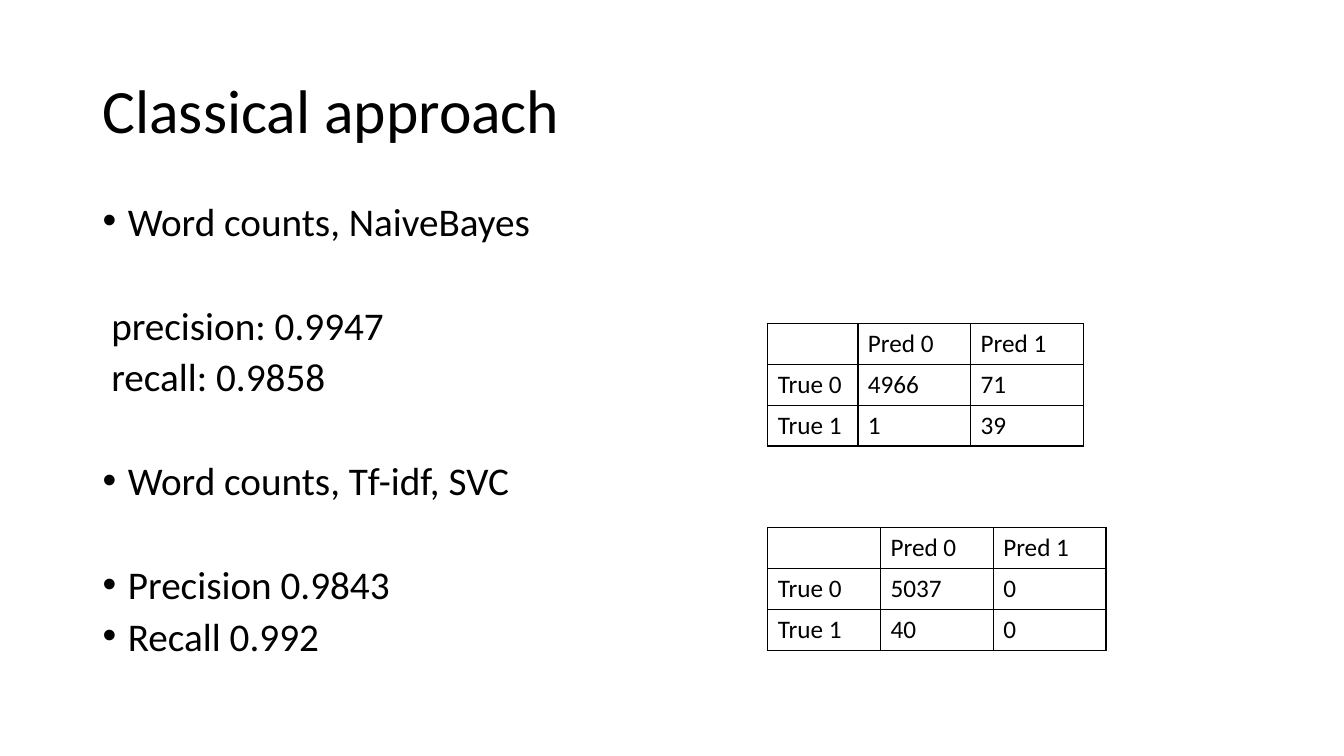
from lxml import etree
from pptx import Presentation
from pptx.dml.color import RGBColor
from pptx.enum.text import MSO_ANCHOR, MSO_AUTO_SIZE, PP_ALIGN
from pptx.oxml.ns import qn
from pptx.util import Cm, Pt

BLACK = RGBColor(0x00, 0x00, 0x00)
MARGIN_LEFT, CONTENT_WIDTH = 2.33, 29.21
TABLE_LEFT, COLUMN, ROW = 19.35, 2.84, 1.03
LINE_GAP, SECTION_GAP = 10, 47.3


class SlideBuilder:
    """Holds the style and the current slide."""

    font = "Calibri"
    color = BLACK

    def __init__(self, slide):
        """Keep the slide to draw on."""
        self.slide = slide

    def style(self, paragraph, size):
        """Set font, size and colour of a left-aligned paragraph."""
        paragraph.alignment = PP_ALIGN.LEFT
        paragraph.font.name = self.font
        paragraph.font.size = Pt(size)
        paragraph.font.color.rgb = self.color

    def frame(self, placeholder, top, height, anchor):
        """Move a placeholder and return its text frame."""
        placeholder.left, placeholder.top = Cm(MARGIN_LEFT), Cm(top)
        placeholder.width, placeholder.height = Cm(CONTENT_WIDTH), Cm(height)
        frame = placeholder.text_frame
        frame.auto_size = MSO_AUTO_SIZE.NONE
        frame.word_wrap = True
        frame.vertical_anchor = anchor
        return frame

    def title(self, text):
        """Fill the title placeholder."""
        frame = self.frame(self.slide.shapes.title, 1.01, 3.68, MSO_ANCHOR.MIDDLE)
        frame.text = text
        paragraph = frame.paragraphs[0]
        paragraph.line_spacing = 0.9
        self.style(paragraph, 44)

    def body(self, items):
        """Fill the body with (text, bulleted, space before) items."""
        frame = self.frame(self.slide.placeholders[1], 5.07, 12.09, MSO_ANCHOR.TOP)
        frame.text = "\n".join(text for text, _, _ in items)
        for paragraph, (_, bulleted, gap) in zip(frame.paragraphs, items):
            self.style(paragraph, 28)
            paragraph.line_spacing = 0.8
            paragraph.space_before = Pt(gap)
            self.bullet(paragraph, bulleted)

    def bullet(self, paragraph, bulleted):
        """Give a paragraph a hanging bullet, or a small plain indent."""
        props = paragraph._p.get_or_add_pPr()
        props.set("marL", str(Cm(0.64 if bulleted else 0.22)))
        props.set("indent", str(Cm(-0.64 if bulleted else 0)))
        if bulleted:
            etree.SubElement(props, qn("a:buFont"), typeface="Arial")
            etree.SubElement(props, qn("a:buChar"), char="•")
        else:
            etree.SubElement(props, qn("a:buNone"))

    def border(self, cell):
        """Draw a thin line on every side of a cell."""
        props = cell._tc.get_or_add_tcPr()
        for index, side in enumerate(("lnL", "lnR", "lnT", "lnB")):
            line = etree.Element(qn(f"a:{side}"), w=str(Pt(1)))
            fill = etree.SubElement(line, qn("a:solidFill"))
            etree.SubElement(fill, qn("a:srgbClr"), val=str(self.color))
            props.insert(index, line)

    def confusion_matrix(self, top, widths, counts):
        """Add a table of true against predicted classes."""
        rows = [["", "Pred 0", "Pred 1"]]
        rows += [[f"True {label}", *map(str, pair)] for label, pair in enumerate(counts)]
        table = self.slide.shapes.add_table(
            len(rows), len(widths), Cm(TABLE_LEFT), Cm(top),
            Cm(sum(widths)), Cm(ROW * len(rows))).table
        table.first_row = table.horz_banding = False
        for column, width in zip(table.columns, widths):
            column.width = Cm(width)
        for r, values in enumerate(rows):
            table.rows[r].height = Cm(ROW)
            for c, value in enumerate(values):
                cell = table.cell(r, c)
                cell.text = value
                cell.fill.background()
                self.style(cell.text_frame.paragraphs[0], 18)
                self.border(cell)


def main():
    """Build and save the slide."""
    deck = Presentation()
    deck.slide_width, deck.slide_height = Cm(33.87), Cm(19.05)
    page = SlideBuilder(deck.slides.add_slide(deck.slide_layouts[1]))
    page.title("Classical approach")
    page.body([
        ("Word counts, NaiveBayes", True, LINE_GAP),
        ("precision: 0.9947", False, SECTION_GAP),
        ("recall: 0.9858", False, LINE_GAP),
        ("Word counts, Tf-idf, SVC", True, SECTION_GAP),
        ("Precision 0.9843", True, SECTION_GAP),
        ("Recall 0.992", True, LINE_GAP),
    ])
    page.confusion_matrix(8.15, [2.27, COLUMN, COLUMN], [(4966, 71), (1, 39)])
    page.confusion_matrix(13.3, [COLUMN] * 3, [(5037, 0), (40, 0)])
    deck.save("out.pptx")


main()
